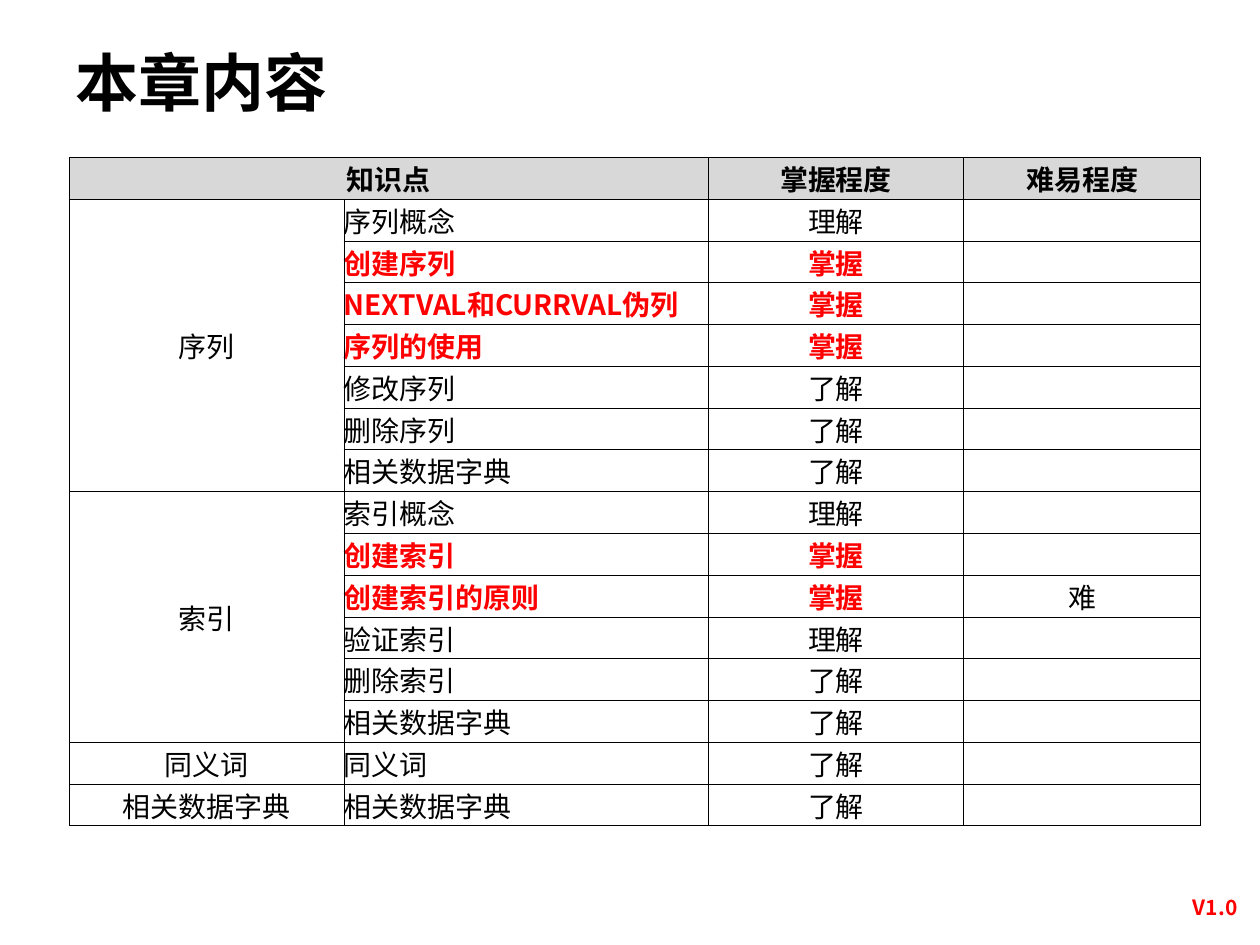
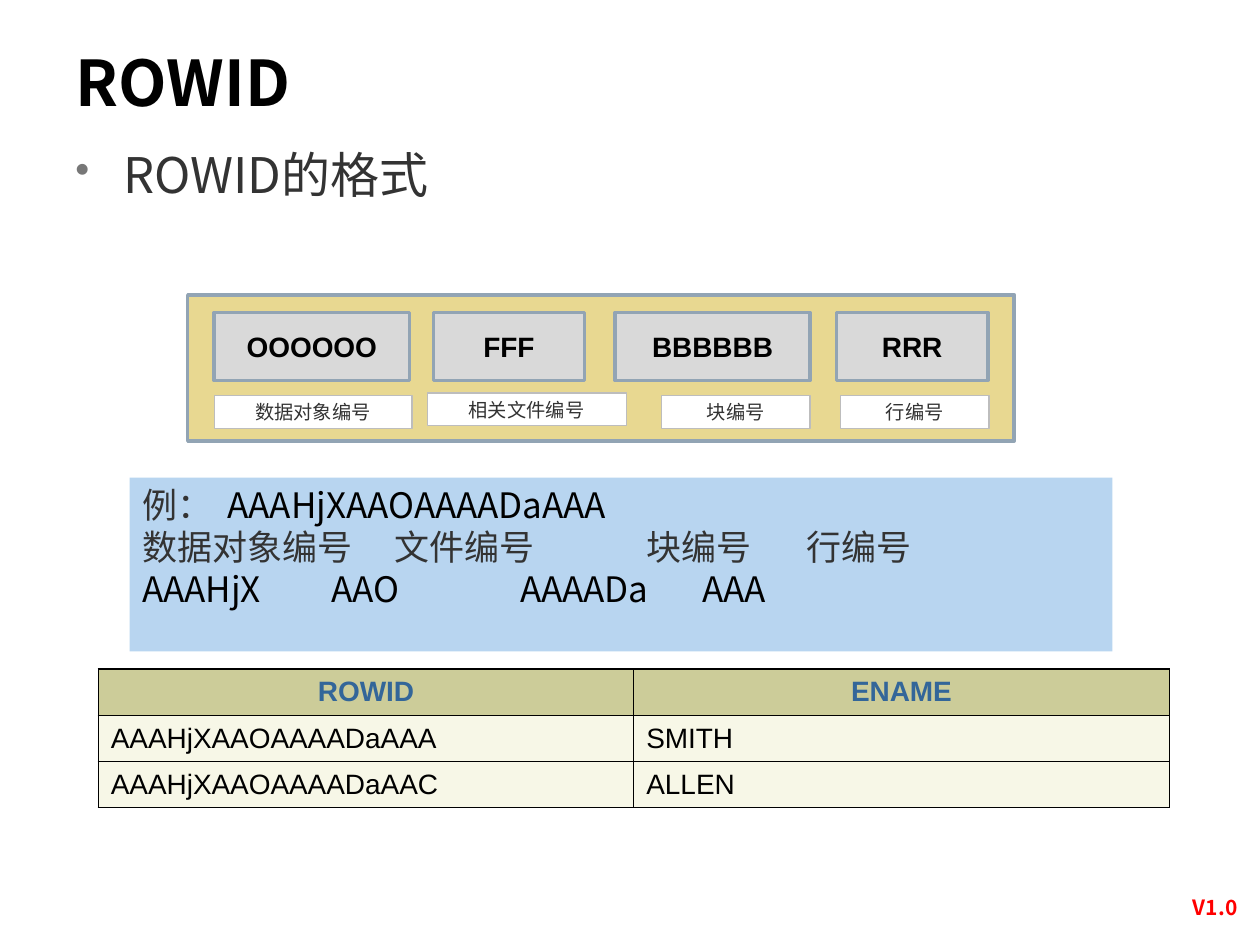
from dataclasses import dataclass
from typing import Optional

from lxml.etree import SubElement
from pptx import Presentation
from pptx.dml.color import RGBColor
from pptx.enum.shapes import MSO_SHAPE
from pptx.enum.text import MSO_ANCHOR, PP_ALIGN
from pptx.oxml import parse_xml
from pptx.oxml.ns import nsdecls, qn
from pptx.util import Inches, Pt

BLACK = RGBColor(0x00, 0x00, 0x00)
WHITE = RGBColor(0xFF, 0xFF, 0xFF)
RED = RGBColor(0xFF, 0x00, 0x00)
DARK_GRAY = RGBColor(0x33, 0x33, 0x33)
HEADER_GRAY = RGBColor(0xD8, 0xD8, 0xD8)
FIELD_GRAY = RGBColor(0xD9, 0xD9, 0xD9)
LABEL_LINE = RGBColor(0xBD, 0xBD, 0xBD)
STEEL = RGBColor(0x92, 0xA4, 0xB4)
SAND = RGBColor(0xE8, 0xD8, 0x91)
SKY = RGBColor(0xB8, 0xD5, 0xF0)
OLIVE = RGBColor(0xCC, 0xCC, 0x99)
CREAM = RGBColor(0xF7, 0xF7, 0xE7)
BLUE = RGBColor(0x33, 0x66, 0x99)

CJK_FONT = "Noto Sans CJK SC"
LATIN_FONT = "Arial"


@dataclass(frozen=True)
class TextStyle:
    size: float
    color: RGBColor
    bold: bool = False
    font: str = CJK_FONT
    align: PP_ALIGN = PP_ALIGN.LEFT


@dataclass(frozen=True)
class BoxStyle:
    fill: RGBColor
    line: Optional[RGBColor] = None
    line_width: float = 0


@dataclass(frozen=True)
class Area:
    left: float
    top: float
    width: float
    height: float

    def lengths(self) -> list:
        return [Inches(value) for value in (self.left, self.top, self.width, self.height)]


@dataclass(frozen=True)
class RowidField:
    code: str
    code_area: Area
    label: str
    label_area: Area


@dataclass(frozen=True)
class Topic:
    name: str
    level: str
    difficulty: str = ""


@dataclass(frozen=True)
class ExampleLine:
    pieces: tuple[tuple[str, RGBColor], ...]
    tabs: tuple[float, ...]


TITLE = TextStyle(36, BLACK, bold=True)
VERSION = TextStyle(12, RED, bold=True, align=PP_ALIGN.CENTER)
BULLET = TextStyle(28, DARK_GRAY)
EXAMPLE = TextStyle(20, BLACK)
FIELD_CODE = TextStyle(16, BLACK, True, LATIN_FONT, PP_ALIGN.CENTER)
FIELD_LABEL = TextStyle(11, DARK_GRAY, False, LATIN_FONT, PP_ALIGN.CENTER)
TOPIC_HEADER = TextStyle(16, BLACK, True, align=PP_ALIGN.CENTER)
ROWID_HEADER = TextStyle(16, BLUE, True, LATIN_FONT, PP_ALIGN.CENTER)
ROWID_BODY = TextStyle(16, BLACK, font=LATIN_FONT)

FIELD_BOX = BoxStyle(FIELD_GRAY, STEEL, 2)
LABEL_BOX = BoxStyle(WHITE, LABEL_LINE, 0.75)

CHAPTERS = {
    "序列": [
        Topic("序列概念", "理解"),
        Topic("创建序列", "掌握"),
        Topic("NEXTVAL和CURRVAL伪列", "掌握"),
        Topic("序列的使用", "掌握"),
        Topic("修改序列", "了解"),
        Topic("删除序列", "了解"),
        Topic("相关数据字典", "了解"),
    ],
    "索引": [
        Topic("索引概念", "理解"),
        Topic("创建索引", "掌握"),
        Topic("创建索引的原则", "掌握", "难"),
        Topic("验证索引", "理解"),
        Topic("删除索引", "了解"),
        Topic("相关数据字典", "了解"),
    ],
    "同义词": [Topic("同义词", "了解")],
    "相关数据字典": [Topic("相关数据字典", "了解")],
}

FIELDS = [
    RowidField("OOOOOO", Area(1.7, 2.48, 1.55, 0.54), "数据对象编号", Area(1.7, 3.14, 1.57, 0.26)),
    RowidField("FFF", Area(3.44, 2.48, 1.2, 0.54), "相关文件编号", Area(3.39, 3.12, 1.58, 0.26)),
    RowidField("BBBBBB", Area(4.88, 2.48, 1.55, 0.54), "块编号", Area(5.25, 3.14, 1.18, 0.26)),
    RowidField("RRR", Area(6.64, 2.48, 1.2, 0.54), "行编号", Area(6.67, 3.14, 1.18, 0.26)),
]

EXAMPLE_LINES = [
    ExampleLine((("例：\t", DARK_GRAY), ("AAAHjXAAOAAAADaAAA", BLACK)), (0.68,)),
    ExampleLine((("数据对象编号\t文件编号\t块编号\t行编号", DARK_GRAY),), (2, 4, 5.27)),
    ExampleLine((("AAAHjX\tAAO\tAAAADa\tAAA", BLACK),), (1.5, 3, 4.45)),
]

ROWID_ROWS = [
    ("ROWID", "ENAME"),
    ("AAAHjXAAOAAAADaAAA", "SMITH"),
    ("AAAHjXAAOAAAADaAAC", "ALLEN"),
]


def style_paragraph(paragraph, style: TextStyle) -> None:
    paragraph.alignment = style.align
    font = paragraph.font
    font.size = Pt(style.size)
    font.bold = style.bold
    font.name = style.font
    font.color.rgb = style.color
    SubElement(font._rPr, qn("a:ea")).set("typeface", CJK_FONT)


def add_paragraph_xml(paragraph, *elements: str) -> None:
    """Put bullet or tab settings ahead of the paragraph's font."""
    defaults = paragraph._p.get_or_add_pPr().find(qn("a:defRPr"))
    for element in elements:
        defaults.addprevious(parse_xml(element))


def add_text(slide, area: Area, text: str, style: TextStyle, anchor=MSO_ANCHOR.TOP):
    frame = slide.shapes.add_textbox(*area.lengths()).text_frame
    frame.word_wrap = True
    frame.vertical_anchor = anchor
    paragraph = frame.paragraphs[0]
    paragraph.text = text
    paragraph.line_spacing = 0.9
    style_paragraph(paragraph, style)
    return paragraph


def add_box(slide, area: Area, style: BoxStyle):
    shape = slide.shapes.add_shape(MSO_SHAPE.RECTANGLE, *area.lengths())
    shape.shadow.inherit = False
    shape.fill.solid()
    shape.fill.fore_color.rgb = style.fill
    if style.line is None:
        shape.line.fill.background()
    else:
        shape.line.color.rgb = style.line
        shape.line.width = Pt(style.line_width)
    return shape


def add_text_box(slide, area: Area, box: BoxStyle, text: str, style: TextStyle) -> None:
    frame = add_box(slide, area, box).text_frame
    frame.vertical_anchor = MSO_ANCHOR.MIDDLE
    paragraph = frame.paragraphs[0]
    paragraph.text = text
    style_paragraph(paragraph, style)


def add_plain_table(slide, area: Area, row_count: int, widths: list[float]):
    table = slide.shapes.add_table(row_count, len(widths), *area.lengths()).table
    table.first_row = table.horz_banding = False
    for column, width in zip(table.columns, widths):
        column.width = Inches(width)
    return table


def fill_cell(cell, text: str, style: TextStyle, fill: RGBColor, border: float) -> None:
    cell.fill.solid()
    cell.fill.fore_color.rgb = fill
    cell.vertical_anchor = MSO_ANCHOR.MIDDLE
    paragraph = cell.text_frame.paragraphs[0]
    if text:
        paragraph.text = text
    style_paragraph(paragraph, style)
    for index, side in enumerate(("lnL", "lnR", "lnT", "lnB")):
        cell._tc.get_or_add_tcPr().insert(index, parse_xml(
            f'<a:{side} {nsdecls("a")} w="{Pt(border)}"><a:solidFill>'
            f'<a:srgbClr val="{BLACK}"/></a:solidFill></a:{side}>'))


def add_slide(presentation, title: str):
    slide = presentation.slides.add_slide(presentation.slide_layouts[6])
    add_text(slide, Area(9.25, 7.07, 0.79, 0.3), "V1.0", VERSION)
    add_text(slide, Area(0.5, 0.3, 7.97, 0.77), title, TITLE, MSO_ANCHOR.MIDDLE)
    return slide


def build_contents(presentation) -> None:
    slide = add_slide(presentation, "本章内容")
    rows = [("知识点", "", "掌握程度", "难易程度")]
    spans = []
    for chapter, topics in CHAPTERS.items():
        spans.append((len(rows), len(rows) + len(topics) - 1))
        for index, topic in enumerate(topics):
            rows.append((chapter if index == 0 else "", topic.name, topic.level, topic.difficulty))

    table = add_plain_table(slide, Area(0.55, 1.25, 8.98, 5.31), len(rows), [2.18, 2.89, 2.03, 1.88])
    for row_index, row in enumerate(rows):
        for column_index, text in enumerate(row):
            # Topics to be mastered stand out in red
            key = row[2] == "掌握" and column_index in (1, 2)
            align = PP_ALIGN.LEFT if column_index == 1 else PP_ALIGN.CENTER
            style = TextStyle(16, RED if key else BLACK, key, align=align)
            if row_index == 0:
                style = TOPIC_HEADER
            cell = table.cell(row_index, column_index)
            cell.margin_left = cell.margin_right = cell.margin_top = cell.margin_bottom = 0
            fill_cell(cell, text, style, WHITE if row_index else HEADER_GRAY, 0.5)

    table.cell(0, 0).merge(table.cell(0, 1))
    for first, last in spans:
        if last > first:
            table.cell(first, 0).merge(table.cell(last, 0))


def build_rowid(presentation) -> None:
    slide = add_slide(presentation, "ROWID")

    # Bullet line
    bullet = add_text(slide, Area(0.5, 1.15, 8.91, 0.7), "ROWID的格式", BULLET)
    properties = bullet._p.get_or_add_pPr()
    properties.set("marL", str(Inches(0.38)))
    properties.set("indent", str(Inches(-0.38)))
    add_paragraph_xml(
        bullet,
        f'<a:buClr {nsdecls("a")}><a:srgbClr val="777777"/></a:buClr>',
        f'<a:buSzPct {nsdecls("a")} val="85000"/>',
        f'<a:buChar {nsdecls("a")} char="•"/>')

    # Result table
    table = add_plain_table(slide, Area(0.78, 5.31, 8.5, 1.04), len(ROWID_ROWS), [4.25, 4.25])
    for row_index, row in enumerate(ROWID_ROWS):
        style, fill = (ROWID_BODY, CREAM) if row_index else (ROWID_HEADER, OLIVE)
        for column_index, text in enumerate(row):
            fill_cell(table.cell(row_index, column_index), text, style, fill, 0.75)

    # Worked example
    frame = add_box(slide, Area(1.03, 3.79, 7.8, 1.38), BoxStyle(SKY)).text_frame
    frame.vertical_anchor = MSO_ANCHOR.TOP
    for index, line in enumerate(EXAMPLE_LINES):
        paragraph = frame.add_paragraph() if index else frame.paragraphs[0]
        style_paragraph(paragraph, EXAMPLE)
        paragraph.line_spacing = Pt(24)
        stops = "".join(f'<a:tab pos="{Inches(tab)}" algn="l"/>' for tab in line.tabs)
        add_paragraph_xml(paragraph, f'<a:tabLst {nsdecls("a")}>{stops}</a:tabLst>')
        for text, color in line.pieces:
            run = paragraph.add_run()
            run.text = text
            run.font.color.rgb = color

    # Format diagram
    add_box(slide, Area(1.49, 2.34, 6.56, 1.16), BoxStyle(SAND, STEEL, 2))
    for field in FIELDS:
        add_text_box(slide, field.code_area, FIELD_BOX, field.code, FIELD_CODE)
        add_text_box(slide, field.label_area, LABEL_BOX, field.label, FIELD_LABEL)


def main() -> None:
    presentation = Presentation()
    presentation.slide_width = Inches(10)
    presentation.slide_height = Inches(7.5)
    build_contents(presentation)
    build_rowid(presentation)
    presentation.save("out.pptx")


if __name__ == "__main__":
    main()
